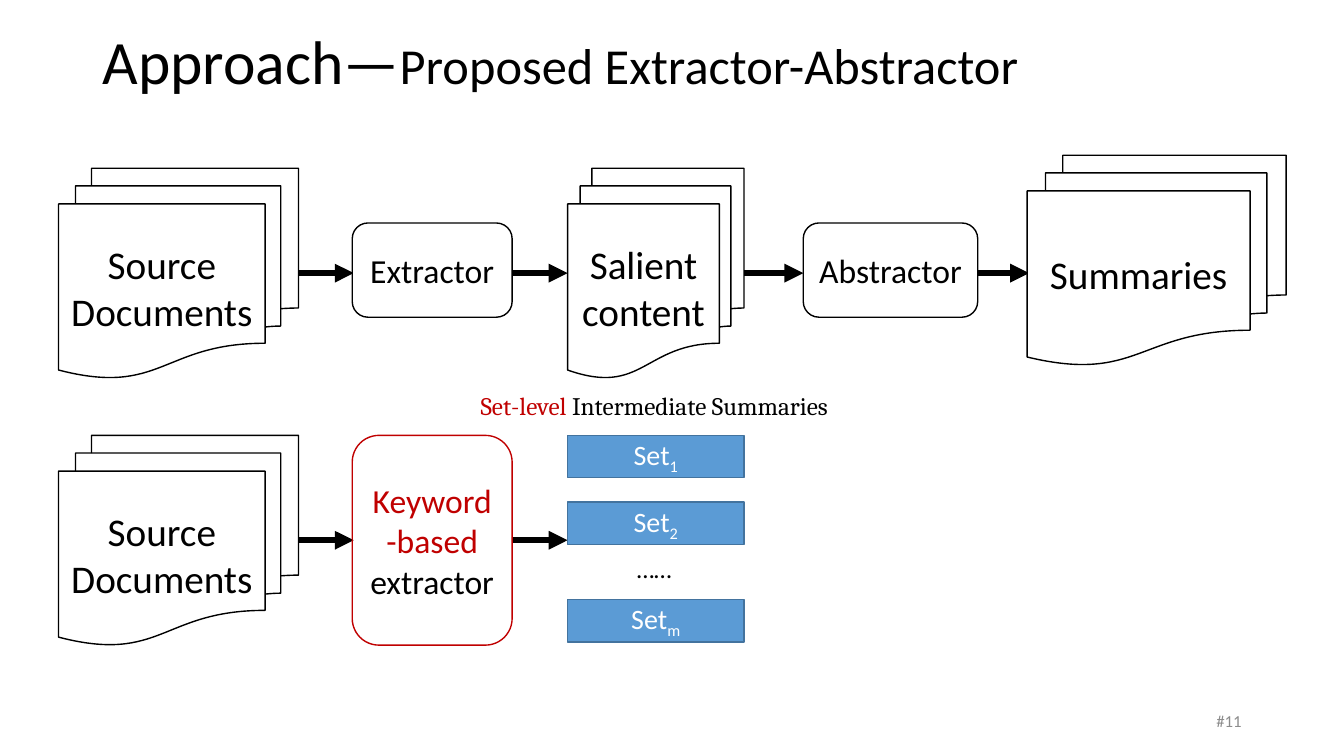
"""Build the slide on the proposed extractor-abstractor approach."""
from lxml import etree
from pptx import Presentation
from pptx import util as u
from pptx.dml.color import RGBColor
from pptx.enum import shapes, text
from pptx.oxml import ns


class Theme:
    black, white, red = "000000", "FFFFFF", "C00000"
    blue, edge, gray = "5B9BD5", "43739E", "8C8C8C"
    sans, serif = "Calibri", "Cambria"
    title, sub, doc, step, bar, note, page = 44, 36, 28, 24, 20, 18, 12
    thin, thick = 1, 4.5


def write(frame, runs, align, face=Theme.sans):
    """Fill a frame with runs of (words, size, colour, baseline)."""
    para = frame.paragraphs[0]
    para.alignment = align
    for words, size, color, base in runs:
        run = para.add_run()
        run.text = words
        run.font.size = u.Pt(size)
        run.font.name = face
        run.font.color.rgb = RGBColor.from_string(color)
        if base:
            run.font._element.set("baseline", str(base))


def node(kind, box, runs, line, fill):
    """Draw a shape with centred text."""
    shape = slide.shapes.add_shape(kind, *map(u.Pt, box))
    shape.shadow.inherit = False
    shape.line.color.rgb = RGBColor.from_string(line)
    shape.line.width = u.Pt(Theme.thin)
    if fill:
        shape.fill.solid()
        shape.fill.fore_color.rgb = RGBColor.from_string(fill)
    else:
        shape.fill.background()
    shape.text_frame.vertical_anchor = text.MSO_ANCHOR.MIDDLE
    write(shape.text_frame, runs, text.PP_ALIGN.CENTER)


deck = Presentation()
deck.slide_width, deck.slide_height = u.Pt(960), u.Pt(540)
slide = deck.slides.add_slide(deck.slide_layouts[5])

title = slide.shapes.title
title.left, title.top, title.width, title.height = map(u.Pt, (66, -6, 828, 104.4))
title.text_frame.auto_size = text.MSO_AUTO_SIZE.NONE
title.text_frame.vertical_anchor = text.MSO_ANCHOR.MIDDLE
title.text_frame.paragraphs[0].line_spacing = 0.9
write(title.text_frame, [
    ("Approach—", Theme.title, Theme.black, 0),
    ("Proposed Extractor-Abstractor", Theme.sub, Theme.black, 0),
], text.PP_ALIGN.LEFT)

top, low = 195.1, 385.9
arrows = [
    (213.1, 252.7, top), (365.8, 405.4, top), (531.4, 573.8, top),
    (698.4, 735.1, top), (213.1, 252.7, low), (365.8, 405.4, low),
]
for start, end, mid in arrows:
    arrow = slide.shapes.add_connector(
        shapes.MSO_CONNECTOR.STRAIGHT, *map(u.Pt, (start, mid, end, mid)))
    arrow.line.color.rgb = RGBColor.from_string(Theme.black)
    arrow.line.width = u.Pt(Theme.thick)
    etree.SubElement(arrow.line._get_or_add_ln(), ns.qn("a:tailEnd"), type="triangle")
    etree.SubElement(arrow._element.spPr, ns.qn("a:effectLst"))

tall = 149.8
docs = [
    ("Source Documents", 41.8, 120.2, 171.4),
    ("Salient content", 405.4, 120.2, 126),
    ("Summaries", 733.7, 110.9, 185),
    ("Source Documents", 41.8, 311, 171.4),
]
for words, left, head, width in docs:
    node(shapes.MSO_SHAPE.FLOWCHART_MULTIDOCUMENT, (left, head, width, tall),
         [(words, Theme.doc, Theme.black, 0)], Theme.black, Theme.white)

for words, left, width in [("Extractor", 251.6, 114.2), ("Abstractor", 573.8, 124.6)]:
    node(shapes.MSO_SHAPE.ROUNDED_RECTANGLE, (left, 159.3, width, 67.3),
         [(words, Theme.step, Theme.black, 0)], Theme.black, Theme.white)

node(shapes.MSO_SHAPE.ROUNDED_RECTANGLE, (251.6, 311, 114.2, tall), [
    ("Keyword-based", Theme.step, Theme.red, 0),
    (" extractor", Theme.step, Theme.black, 0),
], Theme.red, None)

for mark, head in [("1", 311), ("2", 358.6), ("m", 428.4)]:
    node(shapes.MSO_SHAPE.RECTANGLE, (405.4, head, 126, 30.2), [
        ("Set", Theme.bar, Theme.white, 0),
        (mark, Theme.bar, Theme.white, -25000),
    ], Theme.edge, Theme.blue)

notes = [
    ((447.8, 391.7, 40.3, 29), [("……", Theme.note, Theme.black, 0)], Theme.sans),
    ((336.2, 275, 264.2, 29), [
        ("Set-level", Theme.note, Theme.red, 0),
        (" Intermediate Summaries", Theme.note, Theme.black, 0),
    ], Theme.serif),
]
for box, runs, face in notes:
    label = slide.shapes.add_textbox(*map(u.Pt, box)).text_frame
    label.word_wrap = False
    label.auto_size = text.MSO_AUTO_SIZE.SHAPE_TO_FIT_TEXT
    write(label, runs, text.PP_ALIGN.LEFT, face)

page = slide.shapes.add_textbox(*map(u.Pt, (678, 500.5, 216, 28.8))).text_frame
page.word_wrap = True
page.vertical_anchor = text.MSO_ANCHOR.MIDDLE
write(page, [("#11", Theme.page, Theme.gray, 0)], text.PP_ALIGN.RIGHT)

deck.save("out.pptx")
